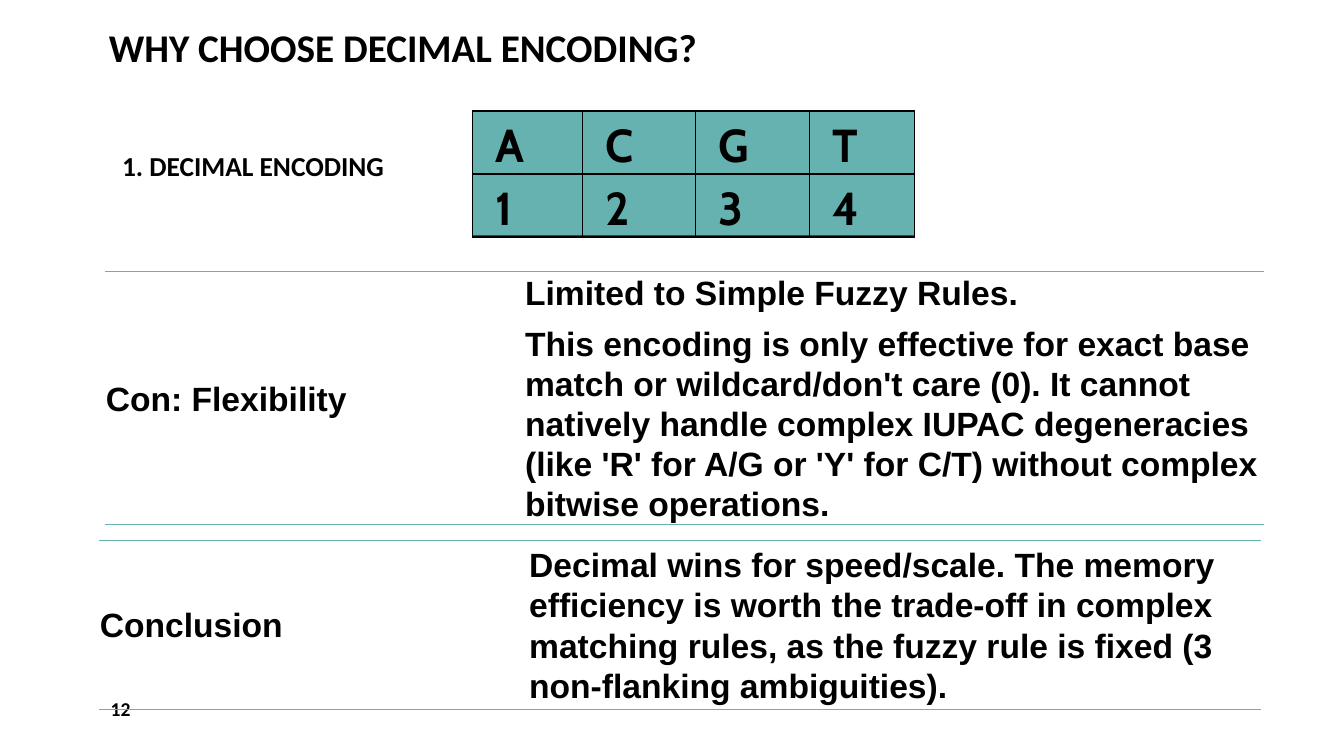
from pptx import Presentation
from pptx import util as u
from pptx.dml.color import RGBColor
from pptx.enum import shapes, text
from pptx.oxml import parse_xml
from pptx.oxml.ns import nsdecls

BLACK, TEAL, DARK = "000000", "66B2B0", "2D4E4D"


def hue(code):
    return RGBColor.from_string(code)


def edge(cell, side, code):
    """Draw one cell border (L, R, T or B); no code means no line."""
    if code:
        paint = f'<a:solidFill><a:srgbClr val="{code}"/></a:solidFill>'
    else:
        paint = "<a:noFill/>"
    cell._tc.get_or_add_tcPr().append(parse_xml(
        f'<a:ln{side} {nsdecls("a")} w="12700">{paint}</a:ln{side}>'))


class Page:
    """Holds the deck, its slide and the text style; lengths are % of the slide."""

    def __init__(self):
        self.deck = Presentation()
        self.deck.slide_width = u.Inches(13.33)
        self.deck.slide_height = u.Inches(7.5)
        self.slide = self.deck.slides.add_slide(self.deck.slide_layouts[1])
        self.shapes = self.slide.shapes

    def across(self, share):
        return int(self.deck.slide_width * share / 100)

    def down(self, share):
        return int(self.deck.slide_height * share / 100)

    def area(self, x, y, w, h):
        return self.across(x), self.down(y), self.across(w), self.down(h)

    def put(self, frame, lines, size, font, space=1.0, after=0):
        for i, line in enumerate(lines):
            para = frame.add_paragraph() if i else frame.paragraphs[0]
            para.alignment = text.PP_ALIGN.LEFT
            para.line_spacing = space
            para.space_before, para.space_after = u.Pt(0), u.Pt(after)
            run = para.add_run()
            run.text = line
            run.font.size, run.font.name, run.font.bold = u.Pt(size), font, True
            run.font.color.rgb = hue(BLACK)

    def label(self, shape, box, line, size, anchor, **style):
        shape.left, shape.top, shape.width, shape.height = self.area(*box)
        frame = shape.text_frame
        frame.word_wrap = True
        frame.auto_size = text.MSO_AUTO_SIZE.NONE
        frame.vertical_anchor = anchor
        self.put(frame, [line], size, "Calibri", **style)
        return frame

    def title(self, box, line):
        self.label(self.shapes.title, box, line, 28, text.MSO_ANCHOR.BOTTOM, space=0.9)

    def body(self, box, line):
        frame = self.label(self.slide.placeholders[1], box, line, 19.6,
                           text.MSO_ANCHOR.TOP, space=0.8, after=12)
        props = frame.paragraphs[0]._p.get_or_add_pPr()
        props.set("marL", "0")
        props.set("indent", "0")
        props.append(parse_xml(f'<a:buNone {nsdecls("a")}/>'))

    def number(self, box, line):
        self.label(self.shapes.add_textbox(*self.area(*box)), box, line, 14,
                   text.MSO_ANCHOR.MIDDLE, after=6)

    def panel(self, box):
        shape = self.shapes.add_shape(shapes.MSO_SHAPE.RECTANGLE, *self.area(*box))
        shape.shadow.inherit = False
        shape.fill.solid()
        shape.fill.fore_color.rgb = hue(TEAL)
        shape.line.color.rgb = hue(DARK)
        shape.line.width = u.Pt(1)

    def table(self, x, y, cols, high, rows, edges, pads, anchor, **style):
        """Each cell is a list of paragraphs; edges maps a side to its colour."""
        box = self.area(x, y, sum(cols), high * len(rows))
        grid = self.shapes.add_table(len(rows), len(cols), *box).table
        grid.first_row = grid.horz_banding = False
        for col, wide in zip(grid.columns, cols):
            col.width = self.across(wide)
        for r, row in enumerate(rows):
            grid.rows[r].height = self.down(high)
            for c, lines in enumerate(row):
                cell = grid.cell(r, c)
                for side in "LRTB":
                    edge(cell, side, edges.get(side))
                cell.fill.background()
                cell.vertical_anchor = anchor
                (cell.margin_left, cell.margin_top,
                 cell.margin_right, cell.margin_bottom) = map(u.Inches, pads)
                self.put(cell.text_frame, lines, space=1.07, **style)

    def codes(self, x, y, cols, high, rows):
        self.table(x, y, cols, high, [[[sign] for sign in row] for row in rows],
                   dict.fromkeys("LRTB", BLACK), (0.23, 0.03, 0.23, 0),
                   text.MSO_ANCHOR.TOP, size=33, font="Cabin")

    def point(self, x, y, cols, high, head, lines):
        self.table(x, y, cols, high, [[[head], lines]],
                   dict.fromkeys("TB", TEAL), (0.01,) * 4,
                   text.MSO_ANCHOR.MIDDLE, size=24, font="Arial", after=8)


def main():
    page = Page()
    page.panel((35.18, 14.67, 32.85, 16.53))
    page.title((7.35, 0.93, 85.35, 9.07), "WHY CHOOSE DECIMAL ENCODING?")
    page.body((8.33, 19.87, 25.8, 9.07), "1. DECIMAL ENCODING")
    page.number((7.5, 91.07, 21.9, 5.33), "12")
    page.codes(35.18, 14.67, (8.18, 8.4, 8.48, 7.8), 8.27, ("ACGT", "1234"))
    page.point(7.8, 35.87, (31.2, 55.05), 33.07, "Con: Flexibility", [
        "Limited to Simple Fuzzy Rules.",
        "This encoding is only effective for exact base match or wildcard/don't care (0). "
        "It cannot natively handle complex IUPAC degeneracies (like 'R' for A/G or 'Y' "
        "for C/T) without complex bitwise operations."])
    page.point(7.35, 71.47, (31.95, 54.5), 22.4, "Conclusion", [
        "Decimal wins for speed/scale. The memory efficiency is worth the trade-off in "
        "complex matching rules, as the fuzzy rule is fixed (3 non-flanking ambiguities)."])
    page.deck.save("out.pptx")


if __name__ == "__main__":
    main()
